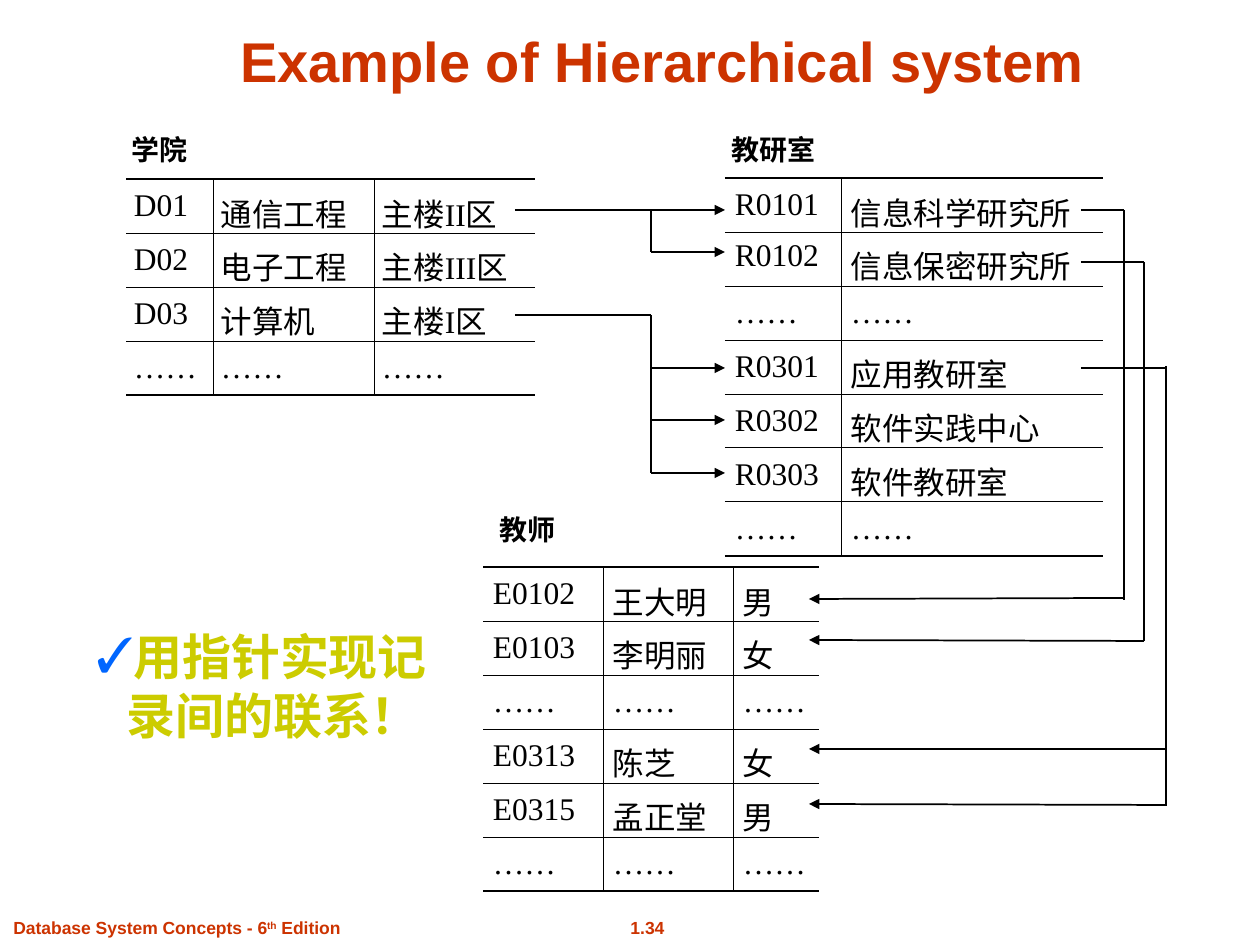
from lxml import etree
from pptx import Presentation
from pptx import util as u
from pptx.dml.color import RGBColor
from pptx.enum import shapes, text
from pptx.oxml.ns import qn

PX = u.Inches(1) / 126
RED = RGBColor(0xCC, 0x33, 0x00)
BLACK = RGBColor(0x00, 0x00, 0x00)
BLUE = RGBColor(0x00, 0x66, 0xFF)
GOLD = RGBColor(0xCC, 0xCC, 0x00)
SANS, SERIF = "Arial", "Times New Roman"
THIN, THICK = 0.45, 1.08
ROW = 54

COLLEGES = [
    ("D01", "通信工程", "主楼II区"),
    ("D02", "电子工程", "主楼III区"),
    ("D03", "计算机", "主楼I区"),
    ("……", "……", "……"),
]
OFFICES = [
    ("R0101", "信息科学研究所"),
    ("R0102", "信息保密研究所"),
    ("……", "……"),
    ("R0301", "应用教研室"),
    ("R0302", "软件实践中心"),
    ("R0303", "软件教研室"),
    ("……", "……"),
]
TEACHERS = [
    ("E0102", "王大明", "男"),
    ("E0103", "李明丽", "女"),
    ("……", "……", "……"),
    ("E0313", "陈芝", "女"),
    ("E0315", "孟正堂", "男"),
    ("……", "……", "……"),
]


def px(n):
    return u.Emu(round(n * PX))


def style(run, size, face, color, bold=True):
    font = run.font
    font.size, font.name, font.bold = u.Pt(size), face, bold
    font.color.rgb = color


def add_text(slide, box, parts, size, color, face=SANS, wrap=False, center=False):
    """Add a one-paragraph text box made of the given runs."""
    shape = slide.shapes.add_textbox(*map(px, box))
    frame = shape.text_frame
    frame.word_wrap = wrap
    if not wrap:
        frame.auto_size = text.MSO_AUTO_SIZE.SHAPE_TO_FIT_TEXT
    para = frame.paragraphs[0]
    if center:
        para.alignment = text.PP_ALIGN.CENTER
    for part in parts:
        run = para.add_run()
        run.text = part
        style(run, size, face, color)
    return frame


def add_check(para):
    """Give the paragraph a hanging check-mark bullet."""
    props = para._p.get_or_add_pPr()
    props.set("marL", str(px(30)))
    props.set("indent", str(-px(30)))
    tint = etree.SubElement(props, qn("a:buClr"))
    etree.SubElement(tint, qn("a:srgbClr"), val=str(BLUE))
    etree.SubElement(props, qn("a:buFont"), typeface=SERIF)
    etree.SubElement(props, qn("a:buChar"), char="✓")


def add_edge(cell, side, width):
    """Draw one cell border, or none when the width is 0."""
    props = cell._tc.get_or_add_tcPr()
    line = etree.SubElement(props, qn("a:ln" + side), w=str(u.Pt(width)))
    if width:
        fill = etree.SubElement(line, qn("a:solidFill"))
        etree.SubElement(fill, qn("a:srgbClr"), val=str(BLACK))
    else:
        etree.SubElement(line, qn("a:noFill"))


def add_records(slide, left, top, widths, rows, inset):
    """Add a record table that is open at its left and right sides."""
    frame = slide.shapes.add_table(len(rows), len(widths), px(left), px(top),
                                   px(sum(widths)), px(ROW * len(rows)))
    table = frame.table
    table.first_row = table.horz_banding = False
    for col, width in zip(table.columns, widths):
        col.width = px(width)
    for r, row in enumerate(rows):
        table.rows[r].height = px(ROW)
        for c, word in enumerate(row):
            cell = table.cell(r, c)
            cell.margin_left = cell.margin_right = px(inset)
            cell.margin_top = cell.margin_bottom = px(6)
            add_edge(cell, "L", THIN if c else 0)
            add_edge(cell, "R", THIN if c < len(row) - 1 else 0)
            add_edge(cell, "T", THIN if r else THICK)
            add_edge(cell, "B", THIN if r < len(rows) - 1 else THICK)
            cell.fill.background()
            cell.text_frame.text = word
            para = cell.text_frame.paragraphs[0]
            para.line_spacing = 1 if word == "R0102" else 1.1
            style(para.runs[0], 18, SERIF, BLACK, False)


def add_line(group, x1, y1, x2, y2, arrow=False):
    line = group.shapes.add_connector(shapes.MSO_CONNECTOR.STRAIGHT,
                                      px(x1), px(y1), px(x2), px(y2))
    line.line.color.rgb = BLACK
    line.line.width = u.Pt(1)
    props = line._element.spPr
    if arrow:
        etree.SubElement(line.line._get_or_add_ln(), qn("a:tailEnd"), type="triangle")
    etree.SubElement(props, qn("a:effectLst"))


def link_offices(slide):
    """Pointers from colleges to their offices."""
    group = slide.shapes.add_group_shape()
    start, bus, end = 515, 651, 725
    add_line(group, start, 210, end, 210, True)
    add_line(group, bus, 210, bus, 252)
    add_line(group, bus, 252, end, 252, True)
    add_line(group, start, 315, bus, 315)
    add_line(group, bus, 315, bus, 473)
    for y in (368, 420, 473):
        add_line(group, bus, y, end, y, True)


def link_teachers(slide):
    """Pointers from offices to their teachers."""
    group = slide.shapes.add_group_shape()
    start, end = 1081, 809
    # Bus x, office y, bus top and bottom, then (bus y, teacher y) per arrow
    routes = [
        (1124, 210, 210, 600, [(598, 599)]),
        (1144, 262, 262, 641, [(641, 640)]),
        (1166, 368, 366, 806, [(749, 749), (805, 804)]),
    ]
    for bus, y, top, low, hits in routes:
        add_line(group, start, y, bus, y)
        add_line(group, bus, top, bus, low)
        for near, far in hits:
            add_line(group, bus, near, end, far, True)


def main():
    deck = Presentation()
    deck.slide_width, deck.slide_height = px(1260), px(945)
    slide = deck.slides.add_slide(deck.slide_layouts[6])

    # Footer
    add_text(slide, (586, 911, 123, 34), ["1.34"], 10, RED, center=True)
    foot = add_text(slide, (1, 911, 352, 34),
                    ["Database System Concepts - 6", "th", " Edition"], 10, RED)
    foot.paragraphs[0].runs[1]._r.get_or_add_rPr().set("baseline", "30000")

    # Title
    title = add_text(slide, (106, 16, 1113, 84), ["Example of Hierarchical system"],
                     32, RED, wrap=True, center=True)
    title.vertical_anchor = text.MSO_ANCHOR.BOTTOM

    # Captioned tables
    add_text(slide, (119, 126, 82, 47), ["学院"], 16, BLACK)
    add_records(slide, 126, 179, (87, 161, 161), COLLEGES, 8)
    add_text(slide, (719, 126, 112, 47), ["教研室"], 16, BLACK)
    add_records(slide, 725, 178, (116, 262), OFFICES, 10)
    add_text(slide, (487, 506, 82, 47), ["教师"], 16, BLACK)
    add_records(slide, 483, 567, (120, 130, 86), TEACHERS, 10)

    # Pointers
    link_offices(slide)
    link_teachers(slide)

    # Remark
    note = add_text(slide, (84, 620, 378, 147), ["用指针实现记录间的联系！"],
                    28, GOLD, SERIF, wrap=True)
    add_check(note.paragraphs[0])

    deck.save("out.pptx")


if __name__ == "__main__":
    main()
